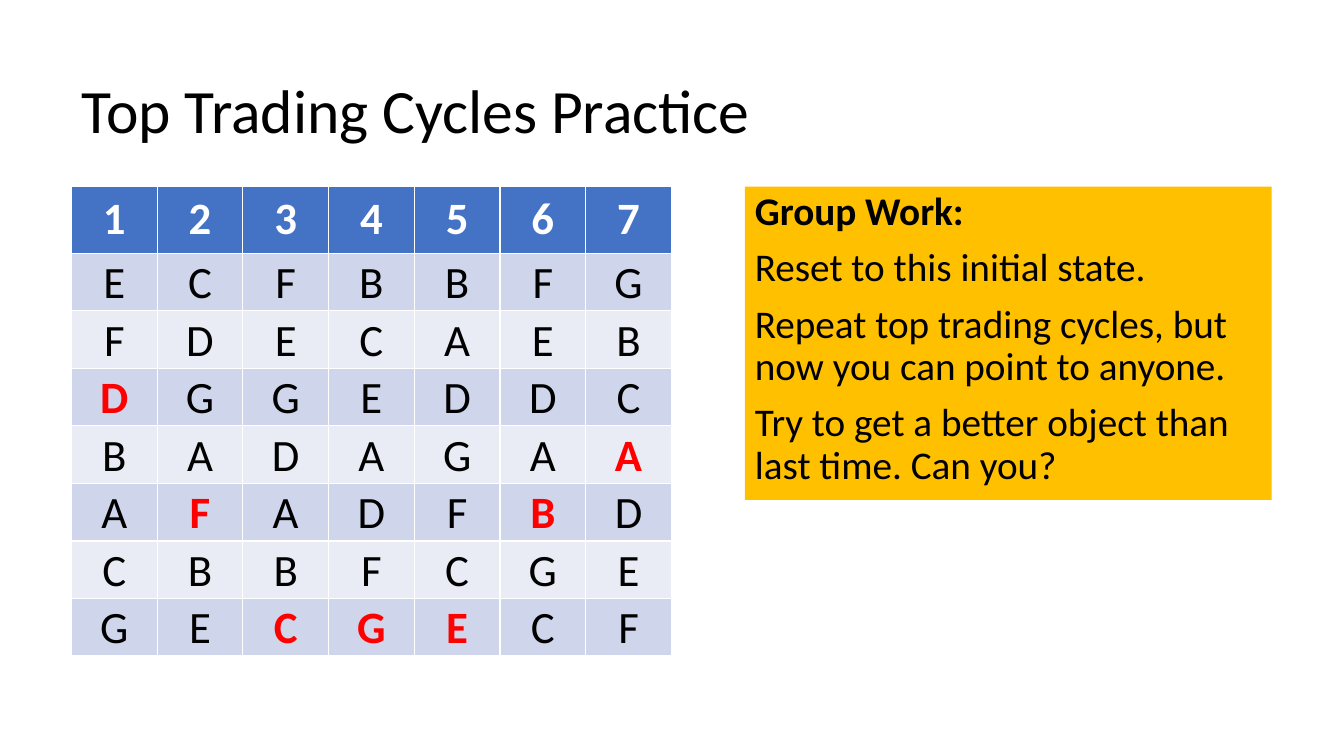
"""Build the Top Trading Cycles practice slide."""
from lxml import etree
from pptx import Presentation
from pptx.dml.color import RGBColor
from pptx.enum import text as t
from pptx.oxml import ns
from pptx.util import Cm, Pt

BLACK, WHITE, RED = "000000", "FFFFFF", "FF0000"
BLUE, GOLD = "4472C4", "FFC000"
BANDS = ("CFD5EA", "E9EBF5")
RANKS = ("ECFBBFG", "FDECAEB", "DGGEDDC", "BADAGAA",
         "AFADFBD", "CBBFCGE", "GECGECF")
OWNED = "DFCGEBA"
TASKS = ("Group Work:", "Reset to this initial state.",
         "Repeat top trading cycles, but now you can point to anyone.",
         "Try to get a better object than last time. Can you?")


def paint(fill, color):
    """Fill with a solid hex colour."""
    fill.solid()
    fill.fore_color.rgb = RGBColor.from_string(color)


def write(para, words, size, color=BLACK, bold=False):
    """Add one formatted run to a paragraph."""
    run = para.add_run()
    run.text = words
    font = run.font
    font.name, font.size, font.bold = "Calibri", Pt(size), bold
    paint(font.fill, color)


def place(shape, left, top, width, height):
    """Move and size a placeholder, in centimetres."""
    shape.left, shape.top = Cm(left), Cm(top)
    shape.width, shape.height = Cm(width), Cm(height)
    frame = shape.text_frame
    frame.word_wrap = True
    frame.auto_size = t.MSO_AUTO_SIZE.NONE
    return frame


def add_title(shape):
    """Write the slide title."""
    frame = place(shape, 1.8, 1.02, 29.21, 3.68)
    frame.vertical_anchor = t.MSO_ANCHOR.MIDDLE
    para = frame.paragraphs[0]
    para.alignment = t.PP_ALIGN.LEFT
    para.line_spacing = 0.9
    write(para, "Top Trading Cycles Practice", 44)


def add_tasks(shape):
    """Write the group work list on a gold panel."""
    frame = place(shape, 18.77, 4.7, 13.28, 7.9)
    frame.vertical_anchor = t.MSO_ANCHOR.TOP
    paint(shape.fill, GOLD)
    for i, words in enumerate(TASKS):
        para = frame.add_paragraph() if i else frame.paragraphs[0]
        props = para._p.get_or_add_pPr()
        props.set("marL", "0")
        props.set("indent", "0")
        etree.SubElement(props, ns.qn("a:buNone"))
        para.line_spacing = 0.9
        para.space_before = Pt(10 if i else 0)
        write(para, words, 28, bold=i == 0)


def fill_cell(cell, words, back, color, bold):
    """Fill one table cell with centred text."""
    paint(cell.fill, back)
    para = cell.text_frame.paragraphs[0]
    para.alignment = t.PP_ALIGN.CENTER
    write(para, words, 32, color, bold)


def add_ranks(slide):
    """Add the preference table with owned objects in red."""
    rows, cols = len(RANKS) + 1, len(OWNED)
    frame = slide.shapes.add_table(rows, cols, Cm(1.8), Cm(4.7),
                                   Cm(2.16 * cols), Cm(11.83))
    table = frame.table
    for col in table.columns:
        col.width = Cm(2.16)
    for r, row in enumerate(table.rows):
        row.height = Cm(1.45 if r else 1.68)
        for c, cell in enumerate(row.cells):
            if r == 0:
                fill_cell(cell, str(c + 1), BLUE, WHITE, True)
                continue
            item = RANKS[r - 1][c]
            own = item == OWNED[c]
            cell.vertical_anchor = t.MSO_ANCHOR.BOTTOM
            cell.margin_left = cell.margin_right = cell.margin_top = Cm(0.02)
            cell.margin_bottom = 0
            fill_cell(cell, item, BANDS[(r - 1) % 2],
                      RED if own else BLACK, own)


def main():
    """Build and save the deck."""
    deck = Presentation()
    deck.slide_width, deck.slide_height = Cm(33.87), Cm(19.05)
    slide = deck.slides.add_slide(deck.slide_layouts[1])
    add_title(slide.shapes.title)
    add_ranks(slide)
    add_tasks(slide.placeholders[1])
    deck.save("out.pptx")


if __name__ == "__main__":
    main()
